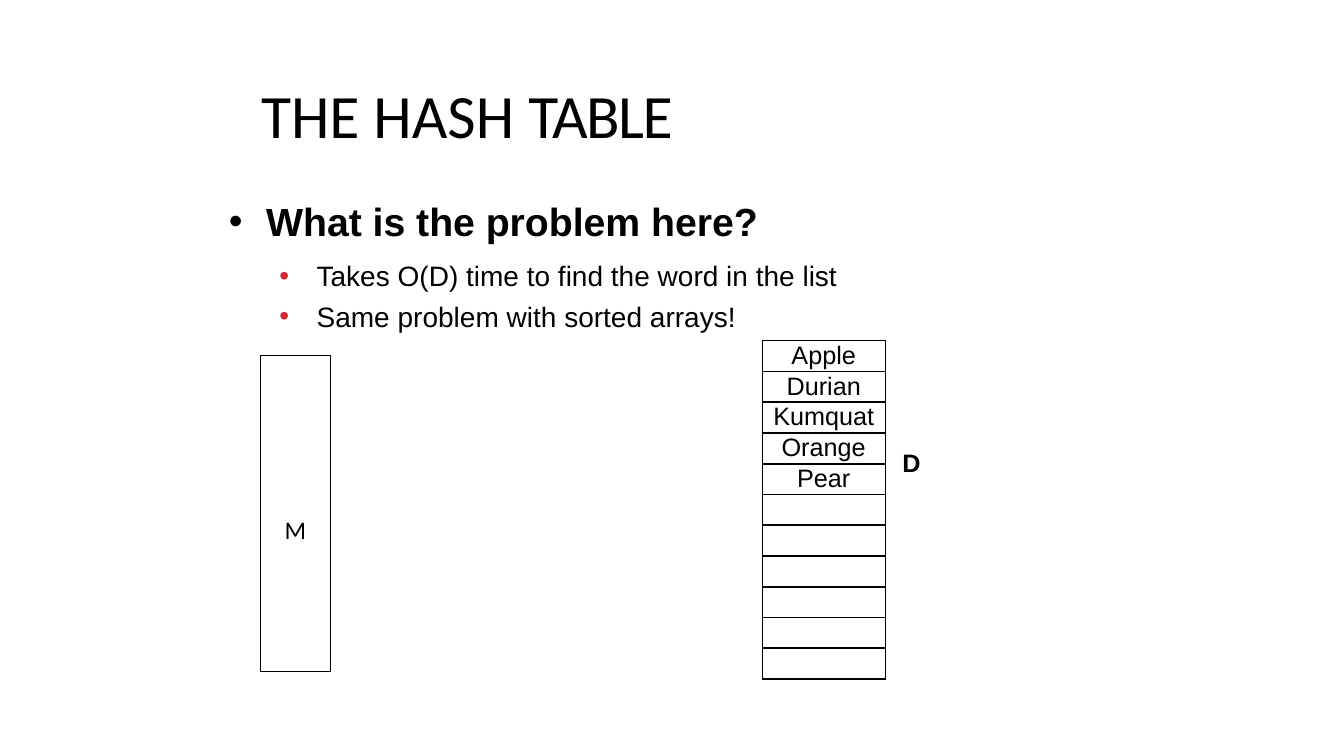
import lxml.etree
import pptx
import pptx.dml.color
import pptx.enum.shapes
import pptx.enum.text
import pptx.oxml.ns
import pptx.util

Inches = pptx.util.Inches
Pt = pptx.util.Pt
qn = pptx.oxml.ns.qn
ALIGN = pptx.enum.text.PP_ALIGN
ANCHOR = pptx.enum.text.MSO_ANCHOR

COLORS = {"ink": "000000", "accent": "D1282E"}
WORDS = ["Apple", "Durian", "Kumquat", "Orange", "Pear"]
SLOTS = 11
THICK_RULES = {2, 4, 5, 6, 8, 10}  # number of rows above each heavier rule


def rgb(name):
    return pptx.dml.color.RGBColor.from_string(COLORS[name])


def add_color(parent, tag, color):
    holder = lxml.etree.SubElement(parent, qn(tag))
    lxml.etree.SubElement(holder, qn("a:srgbClr"), val=COLORS[color])


class SlideBuilder:
    def __init__(self, page):
        self.page = page
        self.body_font = "Arial"
        self.heading_font = "Calibri"

    def add_span(self, para, text, size, font=None, bold=False, tracking=0):
        """Add one run; tracking is in points."""
        span = para.add_run()
        span.text = text
        span.font.size = Pt(size)
        span.font.name = font or self.body_font
        span.font.bold = bold
        span.font.color.rgb = rgb("ink")
        if tracking:
            span._r.get_or_add_rPr().set("spc", str(round(tracking * 100)))

    def frame(self, shape, top_inset, anchor=ANCHOR.TOP):
        """Set insets, wrapping and anchor, and return the text frame."""
        box = shape.text_frame
        box.word_wrap = True
        box.margin_left = box.margin_right = box.margin_bottom = 0
        box.margin_top = Inches(top_inset)
        box.vertical_anchor = anchor
        return box

    def text(self, left, top, width, height, top_inset=0.01, anchor=ANCHOR.TOP):
        shape = self.page.shapes.add_textbox(
            Inches(left), Inches(top), Inches(width), Inches(height))
        return self.frame(shape, top_inset, anchor)

    def bullet(self, para, indent, color):
        properties = para._p.get_or_add_pPr()
        properties.set("marL", str(Inches(indent)))
        properties.set("indent", str(-Inches(0.37)))
        add_color(properties, "a:buClr", color)
        lxml.etree.SubElement(properties, qn("a:buFont"), typeface=self.body_font)
        lxml.etree.SubElement(properties, qn("a:buChar"), char="•")

    def bullets(self, left, top, width, height, items):
        """Items are (text, level, space before)."""
        box = self.text(left, top, width, height, top_inset=0.21)
        for number, (text, level, space) in enumerate(items):
            para = box.add_paragraph() if number else box.paragraphs[0]
            self.bullet(para, 0.89 if level else 0.39, "accent" if level else "ink")
            para.level = level
            para.space_before = Pt(space)
            self.add_span(para, text, 20 if level else 28, bold=not level)

    def rectangle(self, left, top, width, height, label, label_inset):
        shape = self.page.shapes.add_shape(
            pptx.enum.shapes.MSO_SHAPE.RECTANGLE,
            Inches(left), Inches(top), Inches(width), Inches(height))
        shape.shadow.inherit = False
        shape.fill.background()
        shape.line.color.rgb = rgb("ink")
        shape.line.width = Pt(0.75)
        para = self.frame(shape, label_inset).paragraphs[0]
        para.alignment = ALIGN.CENTER
        self.add_span(para, label, 18, self.heading_font)

    def borders(self, cell, widths):
        properties = cell._tc.get_or_add_tcPr()
        for position, (side, width) in enumerate(widths.items()):
            line = lxml.etree.Element(qn("a:ln" + side), w=str(Pt(width)))
            add_color(line, "a:solidFill", "ink")
            properties.insert(position, line)

    def column(self, left, top, width, height, words):
        """Draw a one-column table of slots, filled from the top."""
        table = self.page.shapes.add_table(
            SLOTS, 1, Inches(left), Inches(top), Inches(width), Inches(height)).table
        table.first_row = table.horz_banding = False
        for row in range(SLOTS):
            cell = table.cell(row, 0)
            cell.margin_left = cell.margin_right = 0
            cell.margin_top = cell.margin_bottom = 0
            cell.fill.background()
            self.borders(cell, {"L": 1, "R": 1,
                                "T": 1.5 if row in THICK_RULES else 1,
                                "B": 1.5 if row + 1 in THICK_RULES else 1})
            para = cell.text_frame.paragraphs[0]
            para.alignment = ALIGN.CENTER
            para.line_spacing = Pt(20.7)
            if row < len(words):
                self.add_span(para, words[row], 18)


def main():
    deck = pptx.Presentation()
    deck.slide_width, deck.slide_height = Inches(13.33), Inches(7.5)
    slide = SlideBuilder(deck.slides.add_slide(deck.slide_layouts[6]))

    slide.bullets(2.25, 1.75, 6.5, 1.57, [
        ("What is the problem here?", 0, 0),
        ("Takes O(D) time to find the word in the list", 1, 10.2),
        ("Same problem with sorted arrays!", 1, 5),
    ])

    title = slide.text(2.59, 0.75, 10.5, 0.75, anchor=ANCHOR.MIDDLE).paragraphs[0]
    slide.add_span(title, "THE HASH ", 44, slide.heading_font)
    slide.add_span(title, "TABLE", 44, slide.heading_font, tracking=-1.1)

    slide.column(7.56, 3.38, 1.22, 3.36, WORDS)
    size_label = slide.text(8.95, 4.43, 0.21, 0.33).paragraphs[0]
    slide.add_span(size_label, "D", 18, bold=True)
    slide.rectangle(2.58, 3.53, 0.7, 3.13, "M", label_inset=1.57)

    deck.save("out.pptx")


if __name__ == "__main__":
    main()
